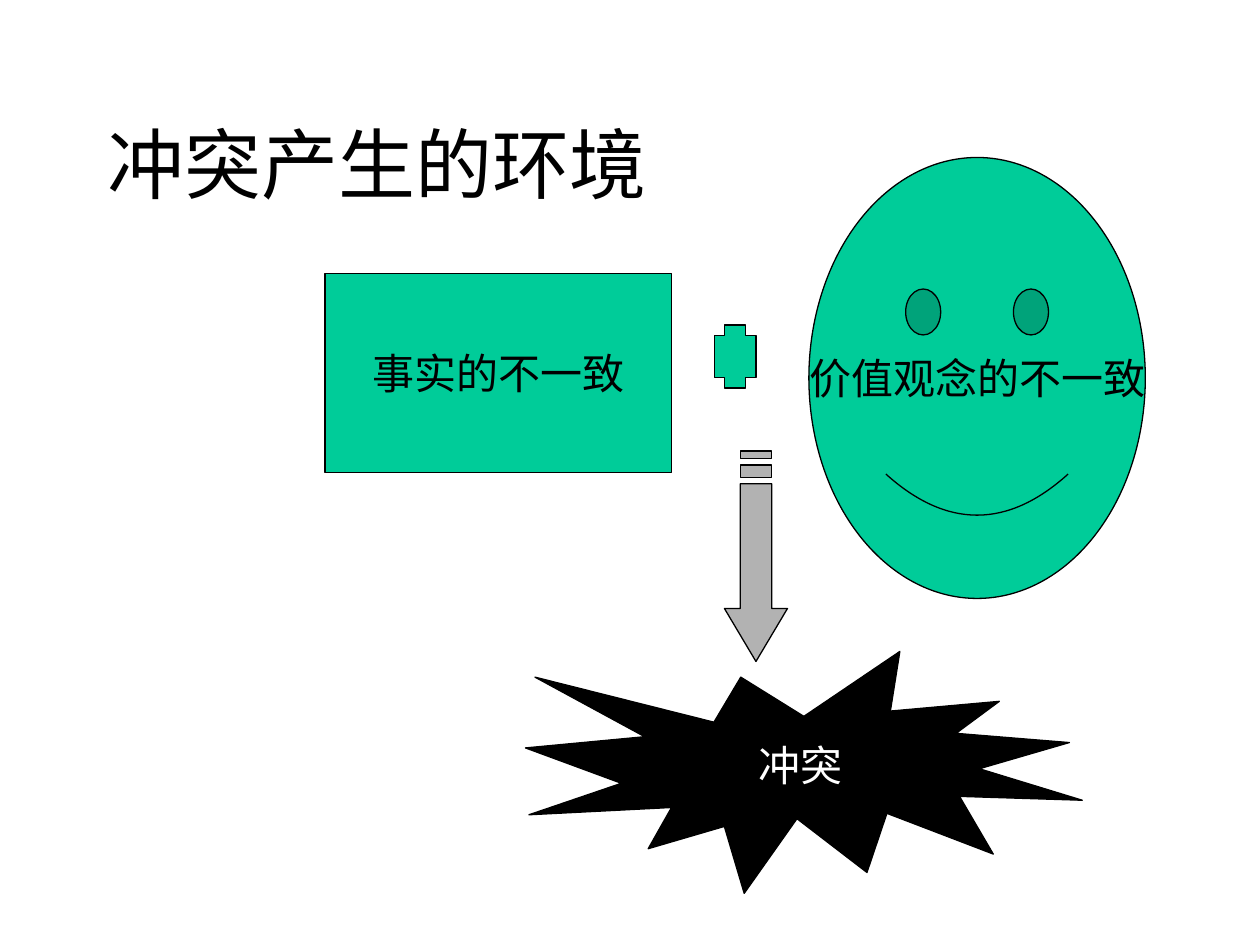
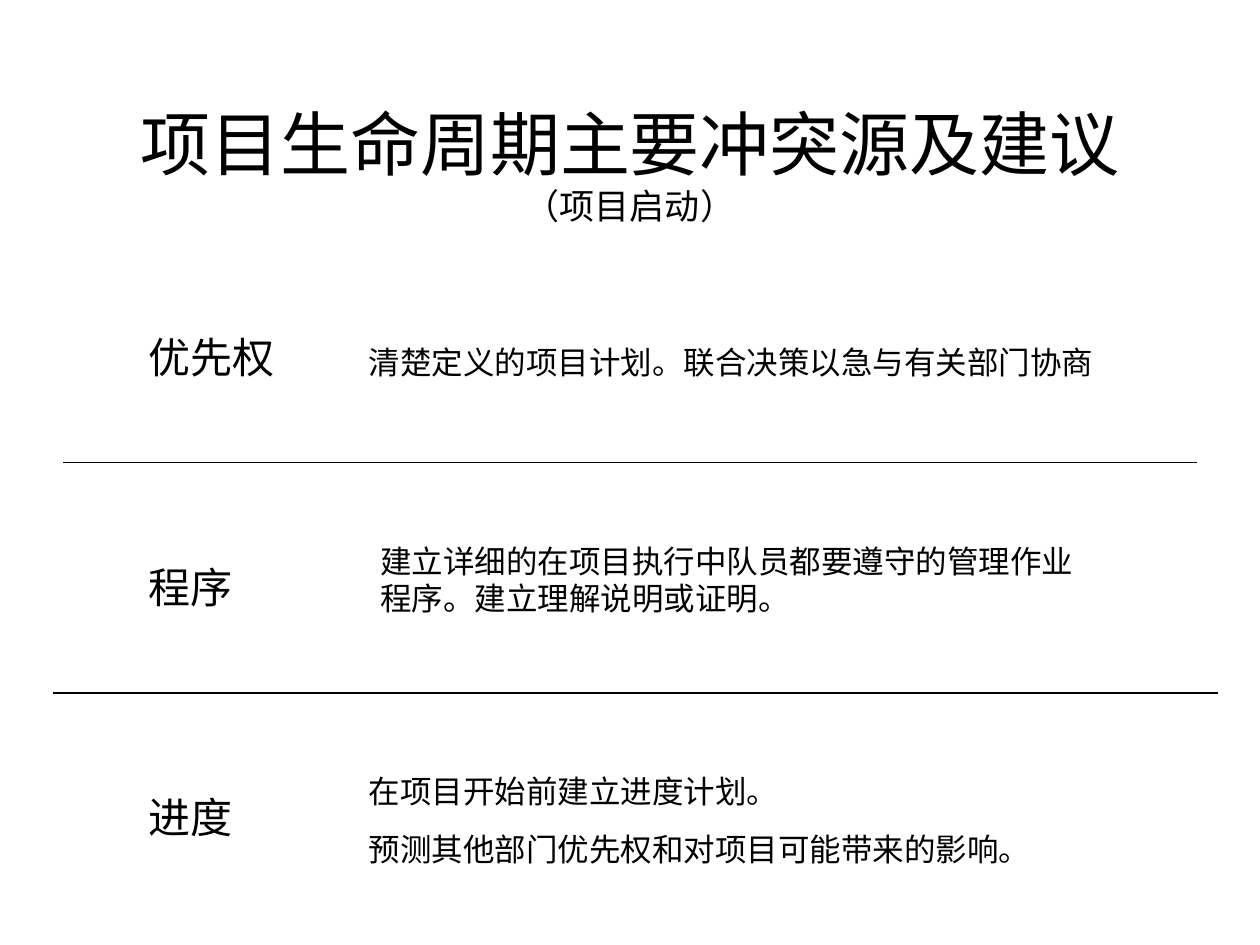
from dataclasses import dataclass

import pptx
import pptx.dml.color
import pptx.enum.shapes
import pptx.enum.text
import pptx.oxml
import pptx.oxml.ns
import pptx.util
from pptx.util import Inches

ShapeKind = pptx.enum.shapes.MSO_SHAPE
Align = pptx.enum.text.PP_ALIGN
Color = pptx.dml.color.RGBColor


@dataclass(frozen=True)
class Theme:
    font: str = "Times New Roman"
    black: Color = Color(0x00, 0x00, 0x00)
    white: Color = Color(0xFF, 0xFF, 0xFF)
    green: Color = Color(0x00, 0xCC, 0x99)
    gray: Color = Color(0xB2, 0xB2, 0xB2)
    title_size: float = 44
    long_title_size: float = 40
    subtitle_size: float = 20
    label_size: float = 24
    body_size: float = 18
    line_width: float = 0.75


THEME = Theme()


@dataclass(frozen=True)
class Box:
    left: float
    top: float
    width: float
    height: float

    def lengths(self) -> tuple:
        return tuple(map(Inches, (self.left, self.top, self.width, self.height)))


@dataclass(frozen=True)
class Figure:
    kind: ShapeKind
    box: Box
    text: str = ""
    fill: Color = THEME.green
    text_color: Color = THEME.black


@dataclass(frozen=True)
class TextBlock:
    box: Box
    paragraphs: tuple
    size: float
    space_before: float


@dataclass(frozen=True)
class Divider:
    left: float
    right: float
    y: float


TITLE_BOX = Box(0.75, 0.67, 8.5, 1.25)

FIGURES = (
    Figure(ShapeKind.SMILEY_FACE, Box(6.42, 1.25, 2.67, 3.5), "价值观念的不一致"),
    Figure(ShapeKind.EXPLOSION1, Box(4.17, 5.17, 4.42, 1.92), "冲突",
           THEME.black, THEME.white),
    Figure(ShapeKind.RECTANGLE, Box(2.58, 2.17, 2.75, 1.58), "事实的不一致"),
    Figure(ShapeKind.CROSS, Box(5.67, 2.58, 0.33, 0.5)),
)

TEXT_BLOCKS = (
    TextBlock(Box(1.08, 2.58, 1.58, 4.15), ("优先权", "程序", "进度"),
              THEME.label_size, 102.6),
    TextBlock(Box(2.83, 2.67, 6.25, 0.4),
              ("清楚定义的项目计划。联合决策以急与有关部门协商",), THEME.body_size, 11.2),
    TextBlock(Box(2.92, 4.25, 5.75, 0.7),
              ("建立详细的在项目执行中队员都要遵守的管理作业程序。建立理解说明或证明。",),
              THEME.body_size, 11.2),
    TextBlock(Box(2.83, 6.08, 6.25, 0.86),
              ("在项目开始前建立进度计划。", "预测其他部门优先权和对项目可能带来的影响。"),
              THEME.body_size, 11.2),
)

DIVIDERS = (Divider(0.5, 9.5, 3.67), Divider(0.42, 9.67, 5.5))


def format_paragraph(paragraph, size: float, color: Color = THEME.black,
                     alignment: Align = Align.LEFT) -> None:
    paragraph.alignment = alignment
    paragraph.font.name = THEME.font
    paragraph.font.size = pptx.util.Pt(size)
    paragraph.font.color.rgb = color


def paint(shape, fill: Color) -> None:
    shape.shadow.inherit = False
    shape.fill.solid()
    shape.fill.fore_color.rgb = fill
    shape.line.color.rgb = THEME.black
    shape.line.width = pptx.util.Pt(THEME.line_width)


def add_titled_slide(presentation, title: str, size: float, alignment: Align):
    """Add a title-only slide and return it with its title paragraph."""
    slide = presentation.slides.add_slide(presentation.slide_layouts[5])
    shape = slide.shapes.title
    shape.left, shape.top, shape.width, shape.height = TITLE_BOX.lengths()
    frame = shape.text_frame
    frame.auto_size = pptx.enum.text.MSO_AUTO_SIZE.NONE
    frame.vertical_anchor = pptx.enum.text.MSO_ANCHOR.MIDDLE
    paragraph = frame.paragraphs[0]
    paragraph.add_run().text = title
    format_paragraph(paragraph, size, alignment=alignment)
    return slide, paragraph


def add_figure(slide, figure: Figure) -> None:
    shape = slide.shapes.add_shape(figure.kind, *figure.box.lengths())
    paint(shape, figure.fill)
    if figure.text:
        frame = shape.text_frame
        frame.word_wrap = False
        frame.vertical_anchor = pptx.enum.text.MSO_ANCHOR.MIDDLE
        frame.text = figure.text
        format_paragraph(frame.paragraphs[0], THEME.label_size,
                         figure.text_color, Align.CENTER)


def add_striped_arrow(slide, center: float) -> None:
    """Draw a downward arrow with two stripes above its shaft."""
    shaft_left, shaft_right = center - 0.125, center + 0.125
    shaft_top, head_top, tip = 3.84, 4.83, 5.25
    outlines = [[
        (shaft_right, shaft_top), (shaft_right, head_top), (center + 0.25, head_top),
        (center, tip), (center - 0.25, head_top), (shaft_left, head_top),
        (shaft_left, shaft_top),
    ]]
    for top, bottom in ((3.58, 3.64), (3.69, 3.79)):
        outlines.append([(shaft_right, top), (shaft_right, bottom),
                         (shaft_left, bottom), (shaft_left, top)])
    builder = None
    for outline in outlines:
        start, *others = [(Inches(x), Inches(y)) for x, y in outline]
        if builder is None:
            builder = slide.shapes.build_freeform(*start)
        else:
            builder.move_to(*start)
        builder.add_line_segments(others, close=True)
    paint(builder.convert_to_shape(), THEME.gray)


def add_text_block(slide, block: TextBlock) -> None:
    frame = slide.shapes.add_textbox(*block.box.lengths()).text_frame
    frame.word_wrap = True
    frame.auto_size = pptx.enum.text.MSO_AUTO_SIZE.SHAPE_TO_FIT_TEXT
    for index, text in enumerate(block.paragraphs):
        paragraph = frame.add_paragraph() if index else frame.paragraphs[0]
        paragraph.text = text
        if index:
            paragraph.space_before = pptx.util.Pt(block.space_before)
        format_paragraph(paragraph, block.size)


def add_divider(slide, divider: Divider) -> None:
    connector = slide.shapes.add_connector(
        pptx.enum.shapes.MSO_CONNECTOR.STRAIGHT, Inches(divider.left),
        Inches(divider.y), Inches(divider.right), Inches(divider.y))
    connector.line.color.rgb = THEME.black
    connector.line.width = pptx.util.Pt(THEME.line_width)
    properties = connector._element.spPr
    properties.append(pptx.oxml.parse_xml(
        f"<a:effectLst {pptx.oxml.ns.nsdecls('a')}/>"))


def build_environment_slide(presentation) -> None:
    slide, _ = add_titled_slide(presentation, "冲突产生的环境",
                                THEME.title_size, Align.LEFT)
    for figure in FIGURES:
        add_figure(slide, figure)
    add_striped_arrow(slide, center=6)


def build_sources_slide(presentation) -> None:
    slide, title = add_titled_slide(presentation, "项目生命周期主要冲突源及建议",
                                    THEME.long_title_size, Align.CENTER)
    # Smaller second line of the title
    title.add_line_break()
    subtitle = title.add_run()
    subtitle.text = "（项目启动）"
    subtitle.font.size = pptx.util.Pt(THEME.subtitle_size)
    # Conflict sources, advice and dividers
    for block in TEXT_BLOCKS:
        add_text_block(slide, block)
    for divider in DIVIDERS:
        add_divider(slide, divider)


def main() -> None:
    presentation = pptx.Presentation()
    presentation.slide_width = Inches(10)
    presentation.slide_height = Inches(7.5)
    build_environment_slide(presentation)
    build_sources_slide(presentation)
    presentation.save("out.pptx")


if __name__ == "__main__":
    main()
